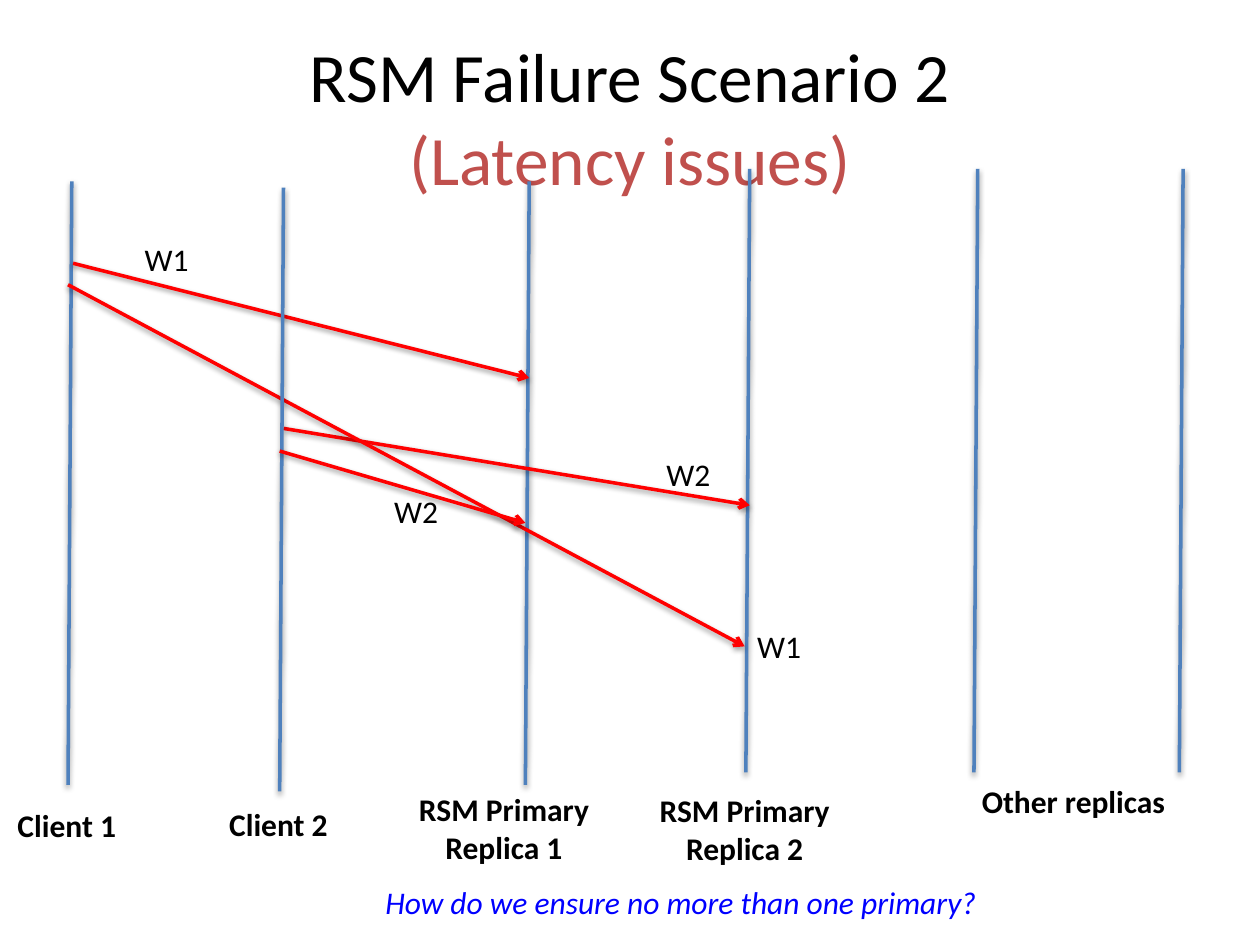
from dataclasses import dataclass

import pptx
import pptx.util
import pptx.dml.color
import pptx.enum.shapes
import pptx.enum.text
import pptx.oxml
import pptx.oxml.ns

Inches, Pt = pptx.util.Inches, pptx.util.Pt
Align = pptx.enum.text.PP_ALIGN
Anchor = pptx.enum.text.MSO_ANCHOR


@dataclass(frozen=True)
class Theme:
    font: str = "Calibri"
    head: float = 39.6
    body: float = 18
    line: float = 2
    ink: str = "000000"
    accent: str = "C0504D"
    lane: str = "4F81BD"
    send: str = "FF0000"
    ask: str = "0000FF"


@dataclass(frozen=True)
class Stroke:
    start: tuple[float, float]
    end: tuple[float, float]
    color: str
    tip: bool = False


@dataclass(frozen=True)
class Label:
    text: str
    box: tuple[float, float, float, float]
    bold: bool = False
    mid: bool = False


THEME = Theme()
COLS, ROWS = 100, 75  # grid of tenth-inch cells
LEAN, SPAN = -0.3, 47.9  # slant and height of each time line

deck = pptx.Presentation()
deck.slide_width, deck.slide_height = Inches(10), Inches(7.5)
slide = deck.slides.add_slide(deck.slide_layouts[6])


def across(col: float) -> int:
    return round(deck.slide_width * col / COLS)


def down(row: float) -> int:
    return round(deck.slide_height * row / ROWS)


def lane(col: float, row: float) -> Stroke:
    return Stroke((col, row), (col + LEAN, row + SPAN), THEME.lane)


def send(start: tuple[float, float], end: tuple[float, float]) -> Stroke:
    return Stroke(start, end, THEME.send, tip=True)


def draw(item: Stroke) -> None:
    ends = [across(item.start[0]), down(item.start[1]),
            across(item.end[0]), down(item.end[1])]
    link = slide.shapes.add_connector(
        pptx.enum.shapes.MSO_CONNECTOR.STRAIGHT, *ends)
    link.line.width = Pt(THEME.line)
    link.line.color.rgb = pptx.dml.color.RGBColor.from_string(item.color)
    space = pptx.oxml.ns.nsdecls("a")
    if item.tip:
        link.line._get_or_add_ln().append(
            pptx.oxml.parse_xml(f'<a:tailEnd {space} type="arrow"/>'))
    link._element.spPr.append(pptx.oxml.parse_xml(
        f'<a:effectLst {space}><a:outerShdw blurRad="{Pt(3.1)}" '
        f'dist="{Pt(1.6)}" dir="5400000" rotWithShape="0">'
        '<a:srgbClr val="000000"><a:alpha val="38000"/></a:srgbClr>'
        '</a:outerShdw></a:effectLst>'))


def write(par, text: str, *, size: float = THEME.body, color: str = THEME.ink,
          bold: bool = False, slant: bool = False) -> None:
    run = par.add_run()
    run.text = text
    font = run.font
    font.name, font.size = THEME.font, Pt(size)
    font.bold, font.italic = bold, slant
    font.color.rgb = pptx.dml.color.RGBColor.from_string(color)


def frame(box: tuple[float, float, float, float], wrap: bool = False):
    left, top, width, height = box
    shape = slide.shapes.add_textbox(
        across(left), down(top), across(width), down(height))
    shape.text_frame.word_wrap = wrap
    return shape.text_frame


def place(item: Label) -> None:
    area = frame(item.box)
    for count, text in enumerate(item.text.split("\n")):
        par = area.add_paragraph() if count else area.paragraphs[0]
        par.alignment = Align.CENTER if item.mid else Align.LEFT
        write(par, text, bold=item.bold)


# Title
area = frame((5, 3, 90, 12.5), wrap=True)
area.vertical_anchor = Anchor.MIDDLE
title = area.paragraphs[0]
title.alignment = Align.CENTER
write(title, "RSM Failure Scenario 2", size=THEME.head)
title.add_line_break()
write(title, "(Latency issues)", size=THEME.head, color=THEME.accent)

# Time lines and messages, back to front
STROKES = [
    lane(5.7, 14.4),
    lane(42, 14.4),
    lane(59.5, 13.4),
    send((5.8, 20.9), (42, 30)),
    send((22.5, 34), (59.5, 40.1)),
    send((5.4, 22.6), (59.1, 51.3)),
    lane(22.5, 14.9),
    send((22.2, 35.8), (41.7, 41.5)),
    lane(77.6, 13.4),
    lane(93.9, 13.4),
]
for stroke in STROKES:
    draw(stroke)

# Names of the time lines, then of the messages
LABELS = [
    Label("Client 1 ", (0.4, 63.5, 9.9, 4), bold=True),
    Label("Client 2 ", (17.2, 63.4, 9.9, 4), bold=True),
    Label("RSM Primary \nReplica 1", (32.1, 62.2, 15.8, 7.1), True, True),
    Label("RSM Primary \nReplica 2", (51.2, 62.3, 15.8, 7.1), True, True),
    Label("Other replicas", (76.8, 61.6, 16.8, 4), True, True),
    *(Label(text, (col, row, 5.5, 4)) for text, col, row in [
        ("W1", 10.5, 18.6), ("W1", 59.1, 49.3),
        ("W2", 51.9, 35.6), ("W2", 30.3, 38.6)]),
]
for label in LABELS:
    place(label)

# Closing question
write(frame((29.6, 69.6, 50, 4)).paragraphs[0],
      "How do we ensure no more than one primary? ",
      color=THEME.ask, slant=True)

deck.save("out.pptx")
